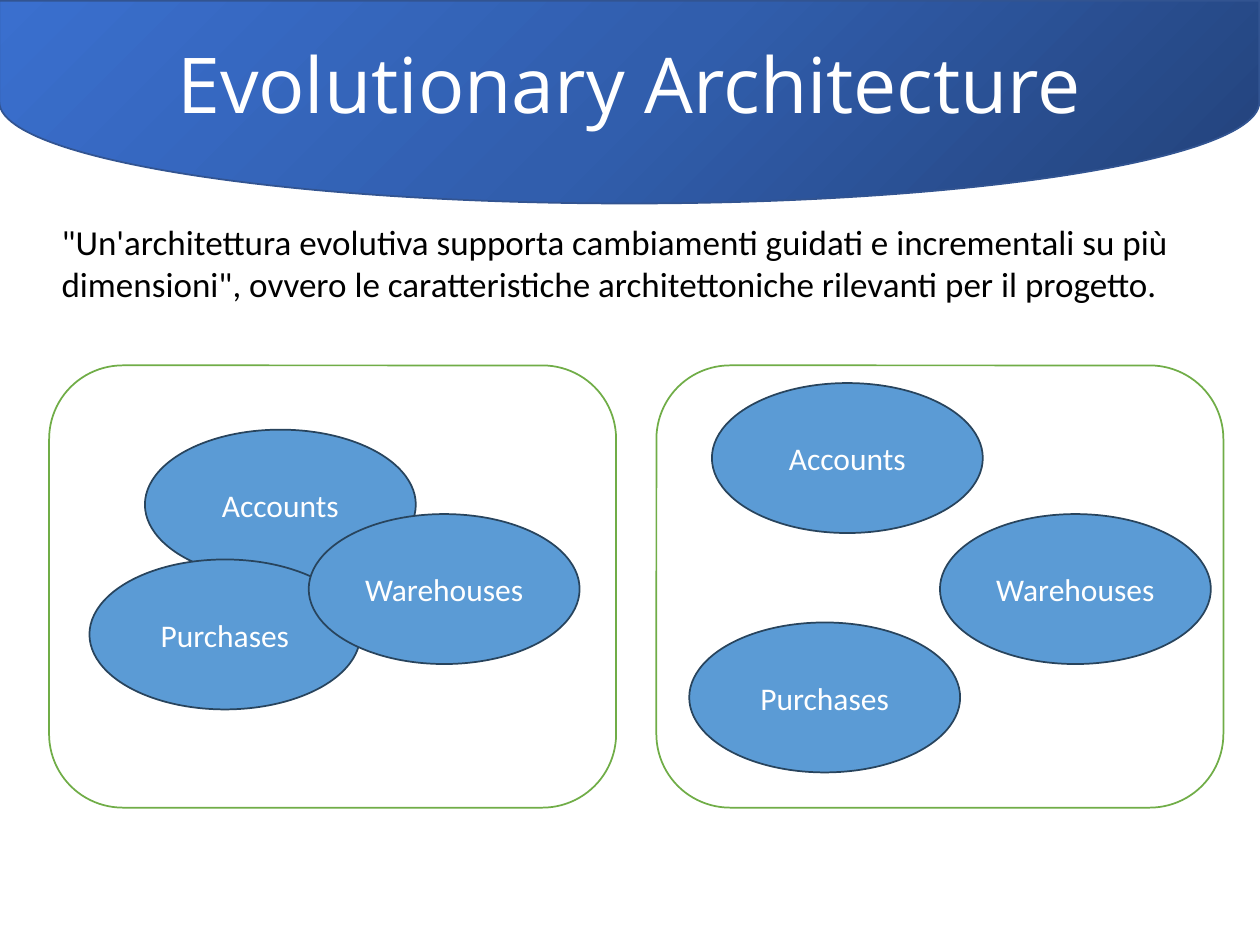
import copy

from pptx import Presentation
from pptx import util as u
from pptx.dml.color import RGBColor
from pptx.enum import shapes, text
from pptx.oxml.ns import qn

COLORS = {
    "white": "FFFFFF",
    "black": "000000",
    "panel_line": "70AD47",
    "service": "5B9BD5",
    "service_line": "28445D",
    "banner_line": "325491",
    "banner_dark": "23427A",
    "banner_mid": "315EAD",
    "banner_light": "3A6FCE",
}
PANEL_TOP, PANEL_W, PANEL_H = 2.9, 4.5, 3.51
SERVICE_W, SERVICE_H = 2.15, 1.19
PANELS = [
    (0.39, [("Accounts", 1.15, 3.41), ("Purchases", 0.71, 4.44), ("Warehouses", 2.45, 4.08)]),
    (5.21, [("Accounts", 5.65, 3.04), ("Purchases", 5.47, 4.94), ("Warehouses", 7.46, 4.08)]),
]
TITLE = "Evolutionary Architecture"
QUOTE = (
    "\"Un'architettura evolutiva supporta cambiamenti guidati e incrementali su più "
    "dimensioni\", ovvero le caratteristiche architettoniche rilevanti per il progetto."
)


def rgb(name):
    return RGBColor.from_string(COLORS[name])


def add_run(p, words, size, font, color):
    r = p.add_run()
    r.text = words
    r.font.size = u.Pt(size)
    r.font.name = font
    r.font.color.rgb = rgb(color)


def add_shape(s, kind, box, line, fill=None):
    sp = s.shapes.add_shape(kind, *map(u.Inches, box))
    sp.shadow.inherit = False
    sp.line.color.rgb = rgb(line)
    sp.line.width = u.Pt(1)
    if fill:
        sp.fill.solid()
        sp.fill.fore_color.rgb = rgb(fill)
    return sp


def add_banner(s):
    sp = add_shape(s, shapes.MSO_SHAPE.FLOWCHART_DELAY, (4.19, -4.19, 1.61, 10), "banner_line")
    sp.rotation = 90
    sp.fill.gradient()
    sp.fill.gradient_angle = 225
    first = sp._element.spPr.find(".//" + qn("a:gs"))
    middle = copy.deepcopy(first)
    middle.set("pos", "50000")
    first.addnext(middle)
    for stop, color in zip(sp.fill.gradient_stops, ("banner_dark", "banner_mid", "banner_light")):
        stop.color.rgb = rgb(color)


def add_text(s, box, words, size, font, color, align):
    tf = s.shapes.add_textbox(*map(u.Inches, box)).text_frame
    tf.word_wrap = True
    tf.auto_size = text.MSO_AUTO_SIZE.SHAPE_TO_FIT_TEXT
    p = tf.paragraphs[0]
    p.alignment = align
    add_run(p, words, size, font, color)


def add_service(s, name, left, top):
    box = (left, top, SERVICE_W, SERVICE_H)
    sp = add_shape(s, shapes.MSO_SHAPE.OVAL, box, "service_line", "service")
    tf = sp.text_frame
    tf.vertical_anchor = text.MSO_ANCHOR.MIDDLE
    p = tf.paragraphs[0]
    p.alignment = text.PP_ALIGN.CENTER
    add_run(p, name, 18, "Calibri", "white")


def add_panel(s, left, services):
    box = (left, PANEL_TOP, PANEL_W, PANEL_H)
    add_shape(s, shapes.MSO_SHAPE.ROUNDED_RECTANGLE, box, "panel_line", "white")
    for name, x, y in services:
        add_service(s, name, x, y)


def main():
    prs = Presentation()
    prs.slide_width, prs.slide_height = u.Inches(10), u.Inches(7.5)
    s = prs.slides.add_slide(prs.slide_layouts[6])
    add_banner(s)
    add_text(s, (0, 0.24, 10, 0.84), TITLE, 44, "Open Sans", "white", text.PP_ALIGN.CENTER)
    for left, services in PANELS:
        add_panel(s, left, services)
    add_text(s, (0.39, 1.7, 9.32, 0.77), QUOTE, 20, "Calibri", "black", text.PP_ALIGN.LEFT)
    prs.save("out.pptx")


if __name__ == "__main__":
    main()
